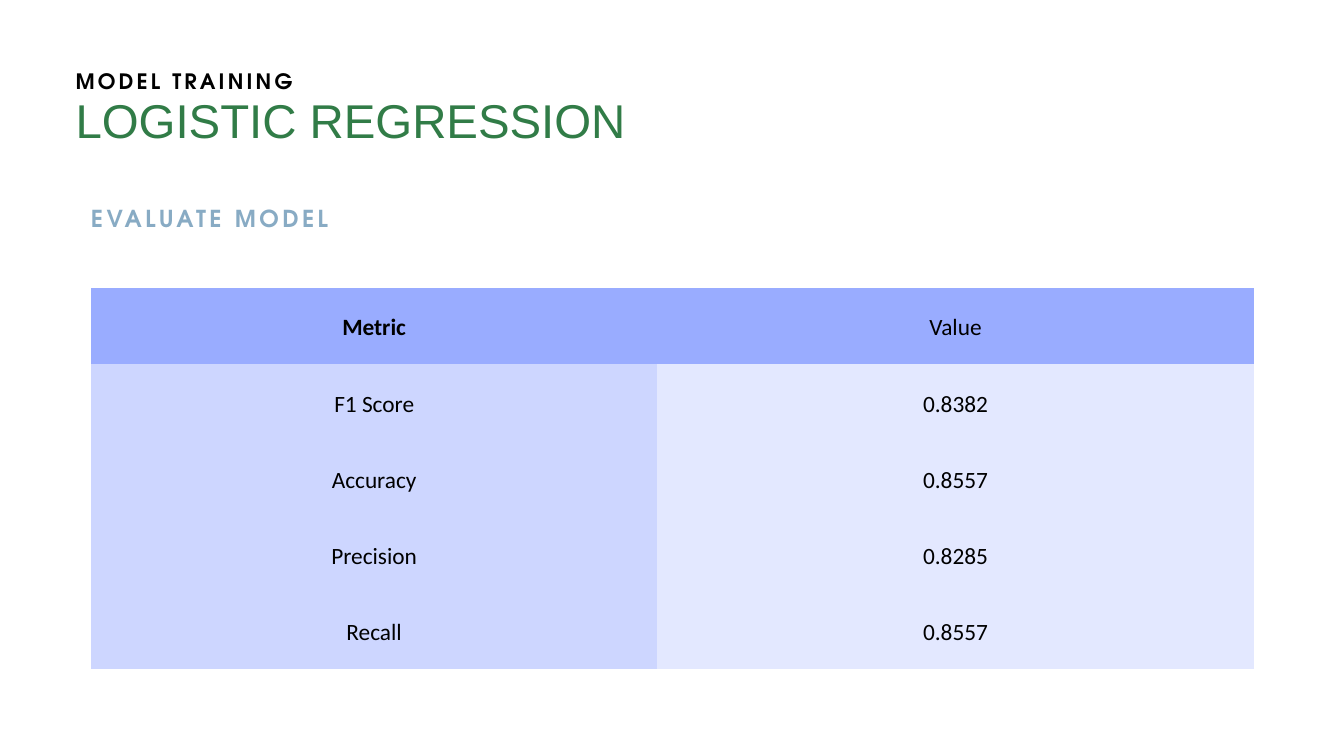
from lxml import etree
from pptx import Presentation, util as u
from pptx.dml.color import RGBColor
from pptx.enum import text
from pptx.oxml.ns import qn

PX = 9525
COLORS = {
    "black": "000000", "green": "317C47", "blue": "88ABC4",
    "header": "99ACFF", "metric": "CDD6FF", "value": "E3E8FF",
}


def style(p, font, size, color, leading, bold=False, spacing=0):
    """Format a paragraph's runs; spacing is the letter spacing in points."""
    p.line_spacing = u.Pt(leading)
    for r in p.runs:
        r.font.name = font
        r.font.size = u.Pt(size)
        r.font.bold = bold
        r.font.color.rgb = RGBColor.from_string(COLORS[color])
        if spacing:
            r.font._element.set("spc", str(round(spacing * 100)))


def clear_borders(cell):
    tc_pr = cell._tc.get_or_add_tcPr()
    for side in ("lnL", "lnR", "lnT", "lnB"):
        ln = etree.SubElement(tc_pr, qn(f"a:{side}"), w="0")
        etree.SubElement(ln, qn("a:noFill"))


prs = Presentation()
prs.slide_width, prs.slide_height = 1920 * PX, 1080 * PX
s = prs.slides.add_slide(prs.slide_layouts[6])

# Metrics table
rows = [
    ("Metric", "Value"),
    ("F1 Score", "0.8382"),
    ("Accuracy", "0.8557"),
    ("Precision", "0.8285"),
    ("Recall", "0.8557"),
]
col_widths = (809, 852)
row_height = 109
tbl = s.shapes.add_table(
    len(rows), len(col_widths), 130 * PX, 411 * PX,
    sum(col_widths) * PX, len(rows) * row_height * PX,
).table
for col, width in zip(tbl.columns, col_widths):
    col.width = width * PX

for i, row in enumerate(rows):
    tbl.rows[i].height = row_height * PX
    for j, label in enumerate(row):
        cell = tbl.cell(i, j)
        clear_borders(cell)
        cell.fill.solid()
        fill = "header" if i == 0 else ("metric", "value")[j]
        cell.fill.fore_color.rgb = RGBColor.from_string(COLORS[fill])
        cell.margin_left = cell.margin_right = 20 * PX
        cell.margin_top = cell.margin_bottom = 20 * PX
        cell.vertical_anchor = text.MSO_ANCHOR.MIDDLE
        p = cell.text_frame.paragraphs[0]
        p.text = label
        p.alignment = text.PP_ALIGN.CENTER
        style(p, "Calibri", 25, "black", 35, bold=(i == 0 and j == 0))

# Headings: text, box in px, then font, size, colour, leading, bold, spacing
headings = [
    ("LOGISTIC REGRESSION", (108, 134, 1906, 78),
     ("Arial", 50.8, "green", 58.5)),
    ("MODEL TRAINING", (108, 90, 636, 41),
     ("TeX Gyre Adventor", 22.7, "black", 32.9, True, 3.4)),
    ("EVALUATE MODEL", (130, 284, 636, 47),
     ("TeX Gyre Adventor", 25, "blue", 36.2, True, 3.7)),
]
for label, box, look in headings:
    tf = s.shapes.add_textbox(*(n * PX for n in box)).text_frame
    tf.word_wrap = True
    tf.auto_size = text.MSO_AUTO_SIZE.SHAPE_TO_FIT_TEXT
    tf.margin_left = tf.margin_right = tf.margin_top = tf.margin_bottom = 0
    tf.text = label
    style(tf.paragraphs[0], *look)

prs.save("out.pptx")
